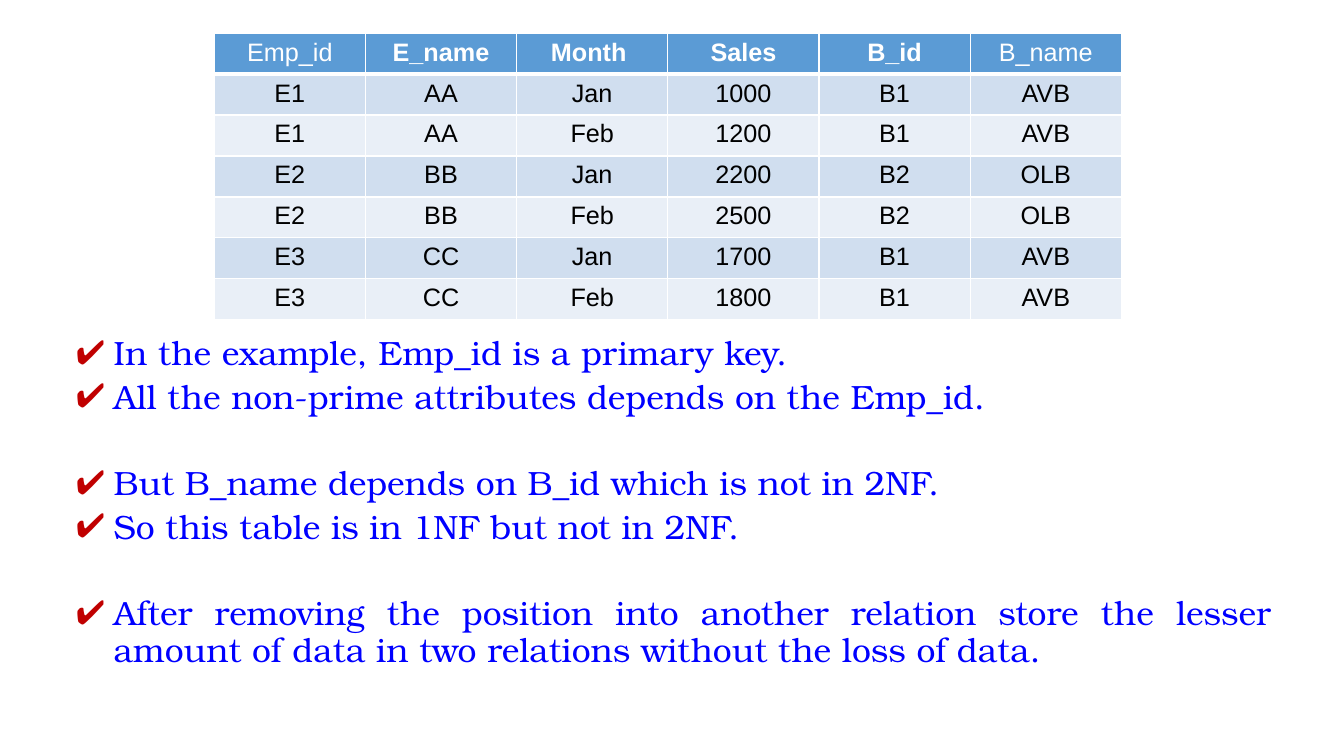
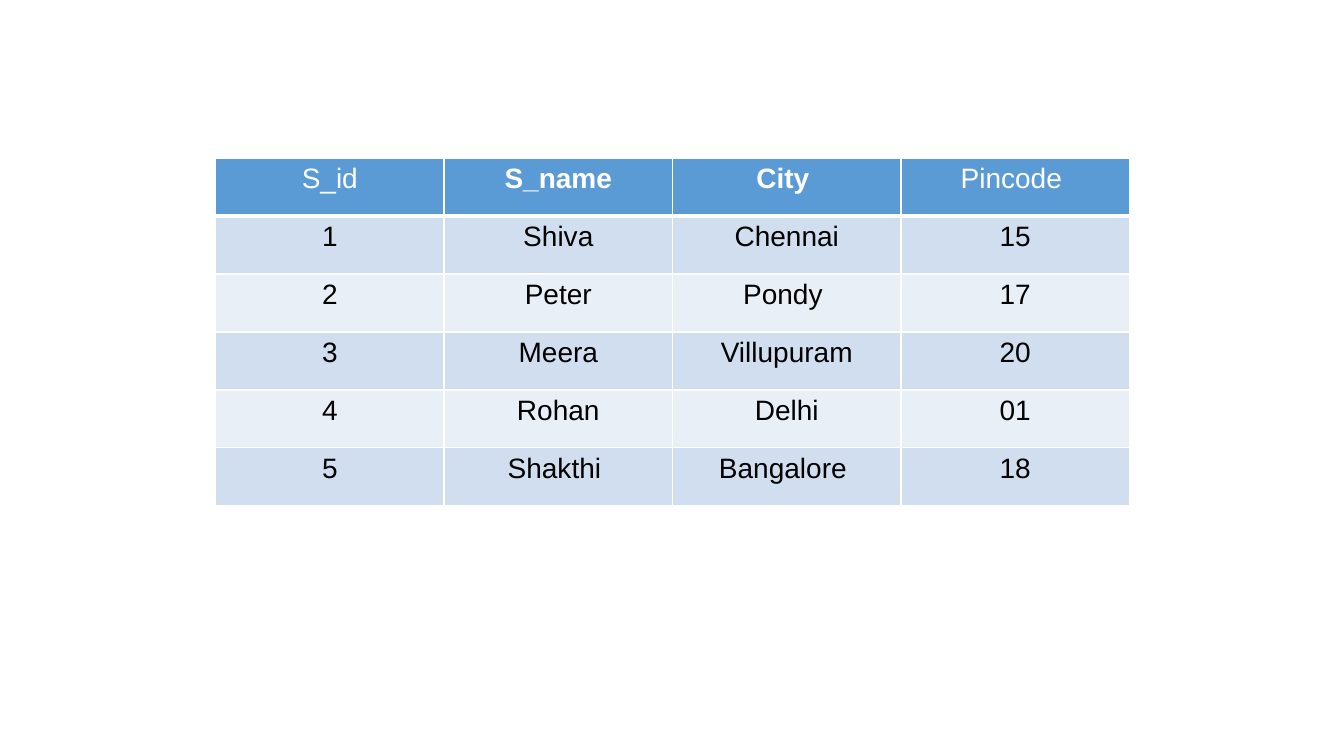
import pptx
import pptx.dml.color
import pptx.enum.text
import pptx.oxml
import pptx.oxml.ns
import pptx.util
from lxml import etree

Pt = pptx.util.Pt
Align = pptx.enum.text.PP_ALIGN


def colour(value):
    return pptx.dml.color.RGBColor.from_string(value)


def add_child(parent, tag, **attributes):
    return etree.SubElement(parent, pptx.oxml.ns.qn(tag), attributes)


class Deck:
    WHITE = "FFFFFF"
    BLACK = "000000"
    HEADER = "5B9BD5"
    BANDS = ("D0DEEF", "E9EFF7")
    LIST_TEXT = "0000FF"
    LIST_MARK = "C00000"
    TABLE_FONT = "Arial"
    LIST_FONT = "TeX Gyre Bonum"
    CONTENT_LAYOUT = 1
    BLANK_LAYOUT = 6

    def __init__(self):
        self.deck = pptx.Presentation()
        self.deck.slide_width = Pt(960)
        self.deck.slide_height = Pt(540)
        self.page = None

    def new_page(self, layout):
        self.page = self.deck.slides.add_slide(self.deck.slide_layouts[layout])
        title = self.page.shapes.title
        if title is not None:
            title.element.getparent().remove(title.element)

    def add_span(self, para, text, font, size, ink, bold=False):
        span = para.add_run()
        span.text = text
        span.font.name = font
        span.font.size = Pt(size)
        span.font.bold = bold
        span.font.color.rgb = colour(ink)

    def add_borders(self, cell, top, bottom):
        properties = cell._tc.get_or_add_tcPr()
        widths = {"a:lnL": 1, "a:lnR": 1, "a:lnT": top, "a:lnB": bottom}
        for tag, width in widths.items():
            line = add_child(properties, tag, w=str(Pt(width)))
            fill = add_child(line, "a:solidFill")
            add_child(fill, "a:srgbClr", val=self.WHITE)

    def add_table(self, left, top, column_width, row_height, size, rows):
        last = len(rows[0]) - 1
        frame = self.page.shapes.add_table(
            len(rows), len(rows[0]), Pt(left), Pt(top),
            Pt(column_width * len(rows[0])), Pt(row_height * len(rows)))
        table = frame.table
        table.first_row = False
        table.horz_banding = False
        for column in table.columns:
            column.width = Pt(column_width)
        for row_index, texts in enumerate(rows):
            table.rows[row_index].height = Pt(row_height)
            header = row_index == 0
            for column_index, text in enumerate(texts):
                cell = table.cell(row_index, column_index)
                self.add_borders(cell, 3 if row_index == 1 else 1, 3 if header else 1)
                cell.fill.solid()
                cell.fill.fore_color.rgb = colour(
                    self.HEADER if header else self.BANDS[(row_index - 1) % 2])
                para = cell.text_frame.paragraphs[0]
                para.alignment = Align.CENTER
                self.add_span(para, text, self.TABLE_FONT, size,
                              self.WHITE if header else self.BLACK,
                              header and 0 < column_index < last)

    def add_check_list(self, left, top, width, height, groups):
        box = self.page.placeholders[1]
        box.left, box.top = Pt(left), Pt(top)
        box.width, box.height = Pt(width), Pt(height)
        frame = box.text_frame
        frame.word_wrap = True
        frame.auto_size = pptx.enum.text.MSO_AUTO_SIZE.NONE
        frame.vertical_anchor = pptx.enum.text.MSO_ANCHOR.TOP
        para = None
        for group in groups:
            for index, text in enumerate(group):
                if para is None:
                    para, space = frame.paragraphs[0], 0
                else:
                    para, space = frame.add_paragraph(), 5 if index else 36
                self.add_check(para)
                para.alignment = Align.JUSTIFY
                para.line_spacing = 0.9
                para.space_before = Pt(space)
                self.add_span(para, text, self.LIST_FONT, 24, self.LIST_TEXT)

    def add_check(self, para):
        properties = para._p.get_or_add_pPr()
        properties.set("marL", str(Pt(36)))
        properties.set("indent", str(-Pt(27)))
        mark = add_child(properties, "a:buClr")
        add_child(mark, "a:srgbClr", val=self.LIST_MARK)
        add_child(properties, "a:buChar", char="✔")

    def save(self):
        self.deck.save("out.pptx")


def main():
    deck = Deck()

    deck.new_page(Deck.CONTENT_LAYOUT)
    deck.add_table(153, 23.76, 108, 29.25, 18, [
        ("Emp_id", "E_name", "Month ", "Sales", "B_id", "B_name"),
        ("E1", "AA", "Jan", "1000", "B1", "AVB"),
        ("E1", "AA", "Feb", "1200", "B1", "AVB"),
        ("E2", "BB", "Jan", "2200", "B2", "OLB"),
        ("E2", "BB", "Feb", "2500", "B2", "OLB"),
        ("E3", "CC", "Jan", "1700", "B1", "AVB"),
        ("E3", "CC", "Feb", "1800", "B1", "AVB"),
    ])
    deck.add_check_list(38, 237, 877, 247, [
        ("In the example, Emp_id is a primary key.",
         "All the non-prime attributes depends on the Emp_id."),
        ("But B_name depends on B_id which is not in 2NF.",
         "So this table is in 1NF but not in 2NF."),
        ("After removing the position into another relation store the lesser "
         "amount of data in two relations without the loss of data.",),
    ])

    deck.new_page(Deck.BLANK_LAYOUT)
    deck.add_table(154, 113, 163.2, 41.4, 20, [
        ("S_id", "S_name", "City ", "Pincode "),
        ("1", "Shiva", "Chennai", "15"),
        ("2", "Peter", "Pondy ", "17"),
        ("3", "Meera", "Villupuram", "20"),
        ("4", "Rohan", "Delhi", "01"),
        ("5", "Shakthi ", "Bangalore ", "18"),
    ])

    deck.save()


if __name__ == "__main__":
    main()
